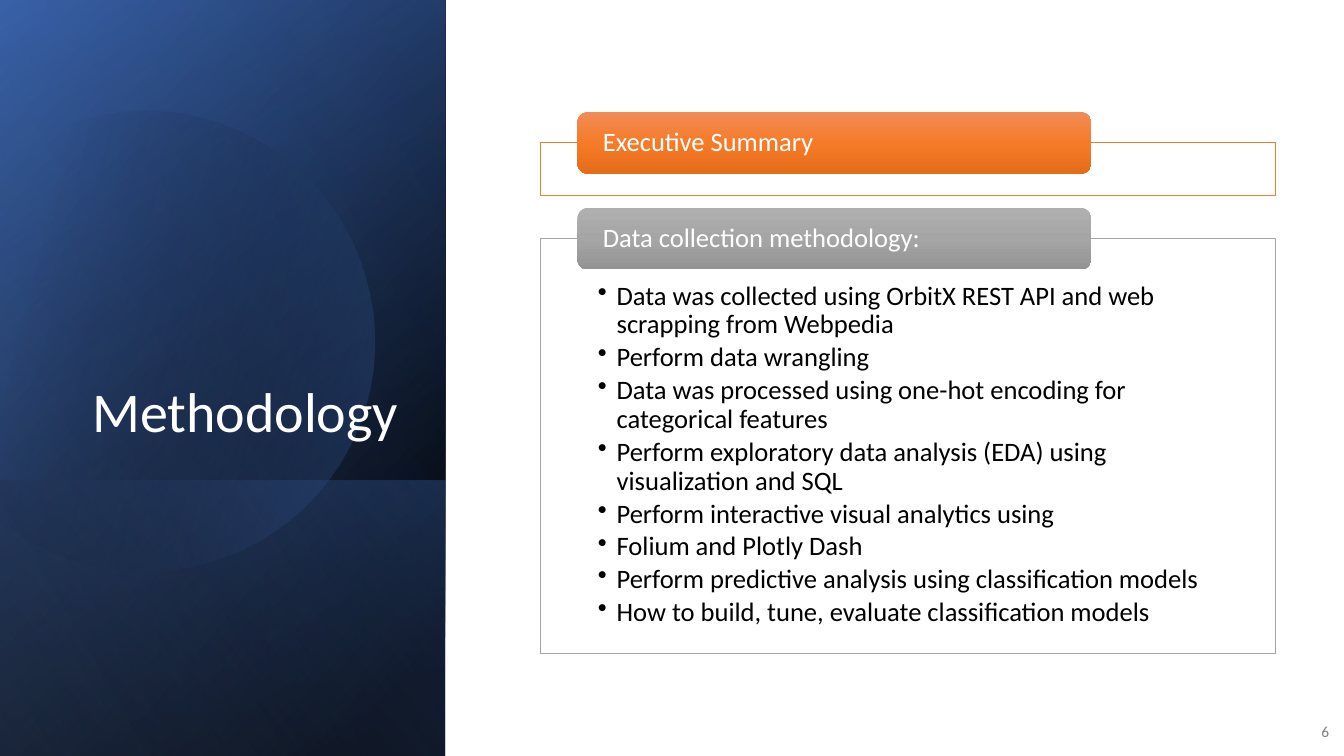
"""Builds the Methodology slide: a dark side panel and two titled boxes."""
import math
import pptx
import pptx.util
import pptx.dml.color
import pptx.enum.shapes
import pptx.enum.text
import pptx.oxml
import pptx.oxml.ns

Pt = pptx.util.Pt
SHAPE = pptx.enum.shapes.MSO_SHAPE
ALIGN = pptx.enum.text.PP_ALIGN
ANCHOR = pptx.enum.text.MSO_ANCHOR
qn = pptx.oxml.ns.qn

STEPS = [
    "Data was collected using OrbitX REST API and web scrapping from Webpedia",
    "Perform data wrangling",
    "Data was processed using one-hot encoding for categorical features",
    "Perform exploratory data analysis (EDA) using visualization and SQL",
    "Perform interactive visual analytics using",
    "Folium and Plotly Dash",
    "Perform predictive analysis using classification models",
    "How to build, tune, evaluate classification models",
]
BOXES = [
    ("Executive Summary", [], 102, 37.5, "ED7D31",
     [(0, "F18C57", 100), (50, "F67B28", 100), (100, "E56C19", 100)]),
    ("Data collection methodology:", STEPS, 170.5, 296.5, "A5A5A5",
     [(0, "AFAFAF", 100), (50, "A5A5A5", 100), (100, "939393", 100)]),
]
BASE = [
    (0, 540, 50, [(8, "000000", 100), (100, "2F5597", 100)]),
    (0, 540, 30, [(0, "000000", 0), (99, "4472C4", 46)]),
    (343, 197, 130, [(2, "4472C4", 29), (100, "000000", 30)]),
]
SHEEN = (0, 540, 120, [(0, "000000", 0), (99, "8FAADC", 11)])
GLOW = [(29, "000000", 0), (100, "4472C4", 43)]
START = (107, 79)
ARCS = [
    [(177, 81), (241, 127), (261, 198)],
    [(287, 286), (236, 377), (149, 402)],
    [(94, 418), (38, 404), (-2, 370)],
    [(-11, 362)],
    [(-11, 126)],
    [(0, 116)],
    [(17, 102), (36, 92), (58, 86)],
    [(74, 81), (91, 79), (107, 79)],
]
PANEL, TILT = 318, -16.1
MID = (114, 241)

deck = pptx.Presentation()
deck.slide_width, deck.slide_height = Pt(960), Pt(540)
slide = deck.slides.add_slide(deck.slide_layouts[6])
shapes = slide.shapes


def color(code):
    return pptx.dml.color.RGBColor.from_string(code)


def shade(shape, stops, angle):
    """Give a shape a linear gradient with see-through stops."""
    marks = "".join(
        f'<a:gs pos="{pos * 1000}"><a:srgbClr val="{code}">'
        f'<a:alpha val="{alpha * 1000}"/></a:srgbClr></a:gs>'
        for pos, code, alpha in stops)
    shape.fill.background()
    shape.line.fill.background()
    shape.shadow.inherit = False
    props = shape._element.spPr
    props.replace(props.find(qn("a:noFill")), pptx.oxml.parse_xml(
        f'<a:gradFill {pptx.oxml.ns.nsdecls("a")} rotWithShape="1">'
        f'<a:gsLst>{marks}</a:gsLst>'
        f'<a:lin ang="{angle * 60000}" scaled="0"/></a:gradFill>'))


def write(shape, lines, size, code, align=ALIGN.LEFT, anchor=ANCHOR.MIDDLE,
          pad=(7.2, 3.6, 7.2, 3.6), gap=0, bullet=False):
    """Fill a shape with styled paragraphs."""
    frame = shape.text_frame
    look = dict(zip(("margin_left", "margin_top", "margin_right",
                     "margin_bottom"), map(Pt, pad)))
    look.update(word_wrap=True, vertical_anchor=anchor)
    for name, value in look.items():
        setattr(frame, name, value)
    for i, line in enumerate(lines):
        para = frame.add_paragraph() if i else frame.paragraphs[0]
        para.text = line
        for name, value in dict(alignment=align, line_spacing=0.9,
                                space_after=Pt(gap)).items():
            setattr(para, name, value)
        if bullet:
            props = para._p.get_or_add_pPr()
            props.set("marL", str(Pt(13.5)))
            props.set("indent", str(-Pt(13.5)))
            mark = props.makeelement(qn("a:buChar"), {"char": "•"})
            props.append(mark)
        font = para.runs[0].font
        for name, value in dict(name="Calibri", size=Pt(size)).items():
            setattr(font, name, value)
        font.color.rgb = color(code)


def place(kind, *spot):
    return shapes.add_shape(kind, *map(Pt, spot))


def band(top, tall, angle, stops):
    """Draw a panel layer as a turned, mirrored rectangle."""
    layer = place(SHAPE.RECTANGLE, (PANEL - tall) / 2,
                  top + (tall - PANEL) / 2, tall, PANEL)
    layer.rotation = 90
    layer._element.spPr.find(qn("a:xfrm")).set("flipH", "1")
    shade(layer, stops, angle)


def untilt(spot):
    """Turn a point back about the disc's middle, in hundredths."""
    turn = math.radians(-TILT)
    x, y = spot[0] - MID[0], spot[1] - MID[1]
    return (round(100 * (MID[0] + x * math.cos(turn) - y * math.sin(turn))),
            round(100 * (MID[1] + x * math.sin(turn) + y * math.cos(turn))))


def curve(first, arc, count=24):
    """List points along a cubic arc, or the end of a straight edge."""
    if len(arc) == 1:
        return arc
    knots = [first] + arc
    return [tuple(sum(math.comb(3, k) * (1 - t) ** (3 - k) * t ** k
                      * knots[k][axis] for k in range(4)) for axis in (0, 1))
            for t in (n / count for n in range(1, count + 1))]


def disc():
    """Draw the large soft disc."""
    dots = [START]
    for arc in ARCS:
        dots += curve(dots[-1], arc)
    dots = [untilt(dot) for dot in dots]
    pen = shapes.build_freeform(*dots[0], scale=Pt(1) / 100)
    pen.add_line_segments(dots[1:], close=True)
    shape = pen.convert_to_shape()
    shape.rotation = TILT
    shade(shape, GLOW, 30)


def box(title, lines, top, tall, edge, stops):
    """Draw a framed box with its heading tab."""
    frame = place(SHAPE.RECTANGLE, 386, top, 525, tall)
    frame.shadow.inherit = False
    frame.fill.solid()
    frame.fill.fore_color.rgb = color("FFFFFF")
    frame.line.color.rgb = color(edge)
    frame.line.width = Pt(0.5)
    write(frame, lines, 19, "000000", anchor=ANCHOR.TOP,
          pad=(41, 31, 41, 11), gap=3, bullet=True)
    head = place(SHAPE.ROUNDED_RECTANGLE, 412.5, top - 22, 367, 44)
    shade(head, stops, 90)
    write(head, [title], 19, "FFFFFF", pad=(16, 2, 16, 2))


for layer in BASE:
    band(*layer)
disc()
band(*SHEEN)
name = shapes.add_textbox(*map(Pt, (46, 132.5, 245.5, 188.5)))
write(name, ["Methodology"], 40, "FFFFFF", ALIGN.RIGHT, ANCHOR.BOTTOM, gap=6)
page = shapes.add_textbox(*map(Pt, (921.5, 508.5, 35, 29)))
write(page, ["6"], 11, "808080", ALIGN.RIGHT)
for item in BOXES:
    box(*item)
deck.save("out.pptx")
